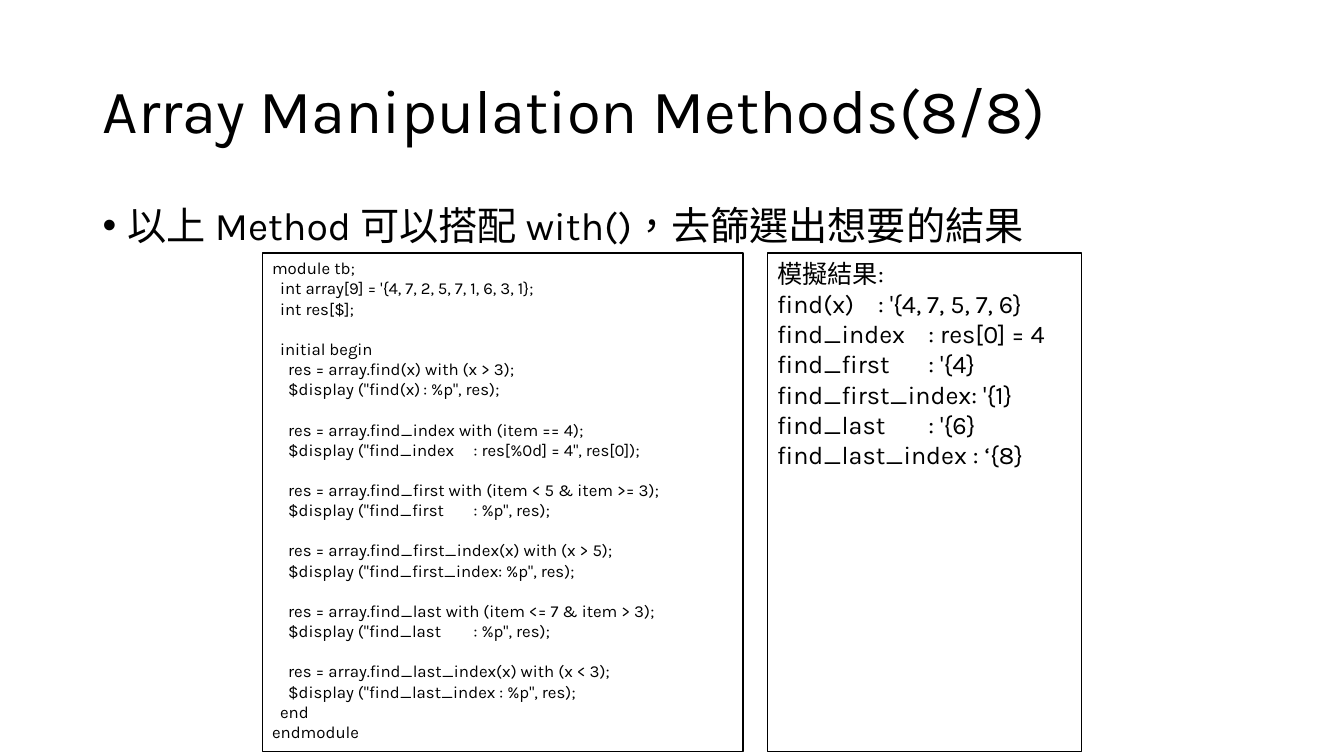
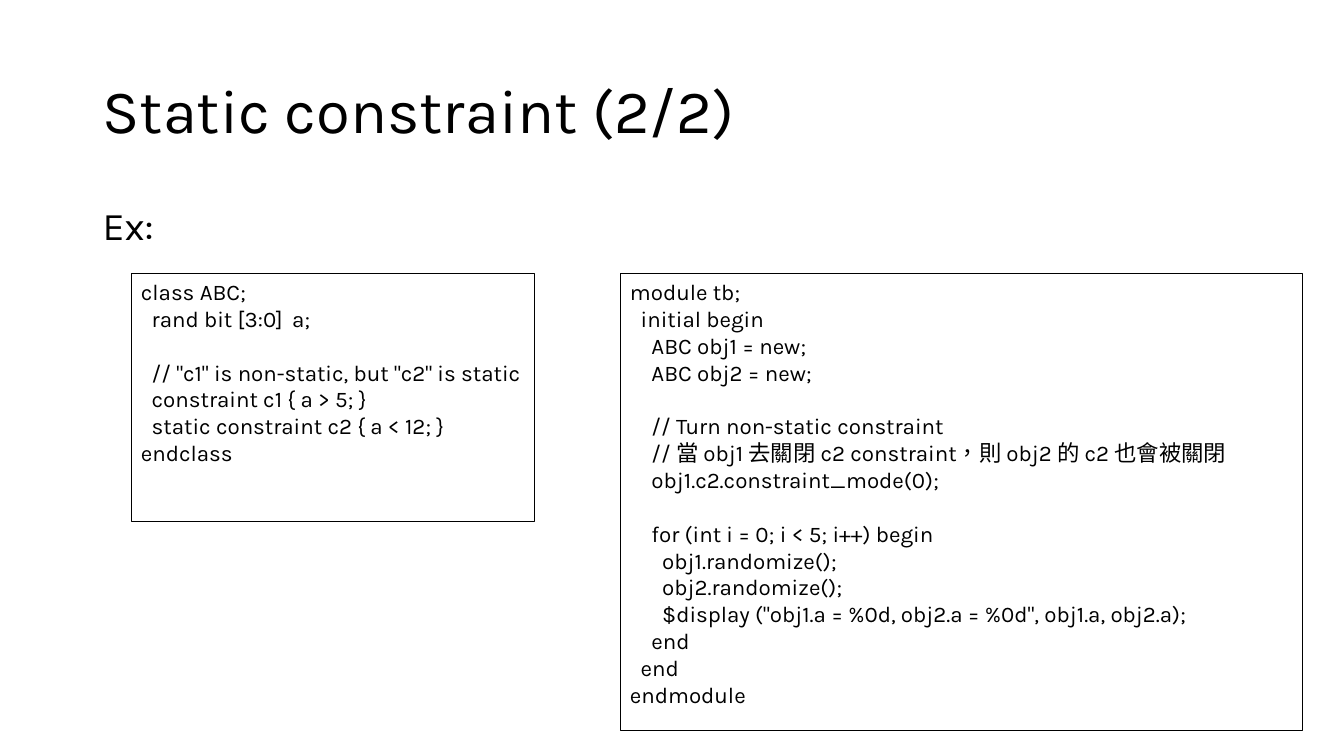
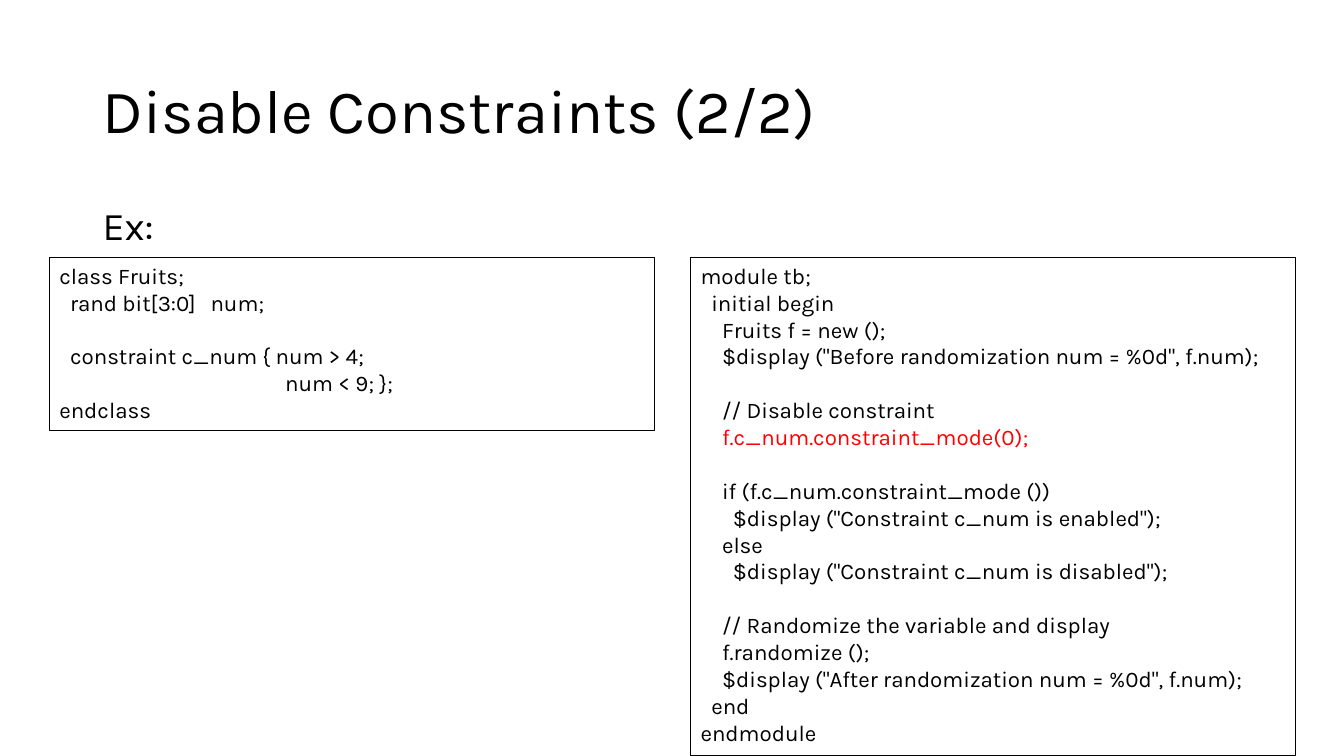
"""Build three SystemVerilog lecture slides with code panels."""
import dataclasses
import typing

import lxml.etree
import pptx
import pptx.dml.color
import pptx.enum.lang
import pptx.enum.shapes
import pptx.enum.text
import pptx.oxml.ns
import pptx.util

EMU_PER_PX = 9144
SLIDE_WIDTH, SLIDE_HEIGHT = 1333, 750
FONT = "Karla"
BLACK = pptx.dml.color.RGBColor(0x00, 0x00, 0x00)
WHITE = pptx.dml.color.RGBColor(0xFF, 0xFF, 0xFF)
RED = pptx.dml.color.RGBColor(0xFF, 0x00, 0x00)
TITLE_SIZE, LEAD_SIZE = 44, 28
HEADING_SPACING = 0.9
CODE_LINE_RATIO = 1.2
SPACE_WIDTH_EM = 0.24
BULLET_INDENT = 25


class Box(typing.NamedTuple):
    left: int
    top: int
    width: int
    height: int


@dataclasses.dataclass(frozen=True)
class Panel:
    box: Box
    size: int
    code: str
    stops: tuple[int, ...] = ()
    highlight: str = ""


@dataclasses.dataclass(frozen=True)
class Lesson:
    title: str
    lead: str
    panels: tuple[Panel, ...]
    bulleted: bool = False


TITLE_BOX = Box(92, 40, 1150, 145)
LEAD_BOX = Box(92, 200, 1150, 476)

FIND_CODE = """
module tb;
  int array[9] = '{4, 7, 2, 5, 7, 1, 6, 3, 1};
  int res[$];

  initial begin
    res = array.find(x) with (x > 3);
    $display ("find(x)\t: %p", res);

    res = array.find_index with (item == 4);
    $display ("find_index\t: res[%0d] = 4", res[0]);

    res = array.find_first with (item < 5 & item >= 3);
    $display ("find_first\t: %p", res);

    res = array.find_first_index(x) with (x > 5);
    $display ("find_first_index: %p", res);

    res = array.find_last with (item <= 7 & item > 3);
    $display ("find_last\t: %p", res);

    res = array.find_last_index(x) with (x < 3);
    $display ("find_last_index : %p", res);
  end
endmodule
"""

FIND_RESULT = """
模擬結果:
find(x)\t: '{4, 7, 5, 7, 6}
find_index\t: res[0] = 4
find_first\t: '{4}
find_first_index: '{1}
find_last\t: '{6}
find_last_index : ‘{8}
"""

STATIC_CLASS = """
class ABC;
  rand bit [3:0]\ta;

  // "c1" is non-static, but "c2" is static
  constraint c1 { a > 5; }
  static constraint c2 { a < 12; }
endclass
"""

STATIC_MODULE = """
module tb;
  initial begin
    ABC obj1 = new;
    ABC obj2 = new;

    // Turn non-static constraint
    // 當 obj1 去關閉 c2 constraint，則 obj2 的 c2 也會被關閉
    obj1.c2.constraint_mode(0);

    for (int i = 0; i < 5; i++) begin
      obj1.randomize();
      obj2.randomize();
      $display ("obj1.a = %0d, obj2.a = %0d", obj1.a, obj2.a);
    end
  end
endmodule
"""

DISABLE_CLASS = """
class Fruits;
  rand bit[3:0]\tnum;

  constraint c_num { num > 4;
                                          num < 9; };
endclass
"""

DISABLE_MODULE = """
module tb;
  initial begin
    Fruits f = new ();
    $display ("Before randomization num = %0d", f.num);

    // Disable constraint
    f.c_num.constraint_mode(0);

    if (f.c_num.constraint_mode ())
      $display ("Constraint c_num is enabled");
    else
      $display ("Constraint c_num is disabled");

    // Randomize the variable and display
    f.randomize ();
    $display ("After randomization num = %0d", f.num);
  end
endmodule
"""

LESSONS = (
    Lesson(
        "Array Manipulation Methods(8/8)",
        "以上 Method 可以搭配 with()，去篩選出想要的結果",
        (
            Panel(Box(260, 251, 477, 495), 12, FIND_CODE, (181, 203, 193, 194)),
            Panel(Box(761, 251, 312, 495), 18, FIND_RESULT, (128, 161, 146, 148)),
        ),
        bulleted=True,
    ),
    Lesson(
        "Static constraint (2/2)",
        "Ex:",
        (
            Panel(Box(130, 271, 400, 246), 16, STATIC_CLASS, (151,)),
            Panel(Box(615, 271, 677, 454), 16, STATIC_MODULE),
        ),
    ),
    Lesson(
        "Disable Constraints (2/2)",
        "Ex:",
        (
            Panel(Box(49, 255, 600, 172), 16, DISABLE_CLASS, (146,)),
            Panel(Box(685, 255, 600, 495), 16, DISABLE_MODULE,
                  highlight="f.c_num.constraint_mode(0);"),
        ),
    ),
)


def px(length: float) -> int:
    """Turn px into EMU."""
    return round(length * EMU_PER_PX)


def add_line(frame, text: str, *, size: int, colour=BLACK, indent: float = 0,
             margin: int = 0, before: float = 0, spacing: float = 1.0,
             bullet: str = "", stop: int | None = None) -> None:
    """Write one formatted paragraph into a text frame."""
    first = frame.paragraphs[0]
    paragraph = frame.add_paragraph() if first.runs else first
    paragraph.alignment = pptx.enum.text.PP_ALIGN.LEFT
    paragraph.line_spacing = spacing
    paragraph.space_before = pptx.util.Pt(before)
    run = paragraph.add_run()
    run.text = text
    run.font.name = FONT
    run.font.size = pptx.util.Pt(size)
    run.font.color.rgb = colour
    run.font.language_id = pptx.enum.lang.MSO_LANGUAGE_ID.TRADITIONAL_CHINESE
    properties = paragraph._p.get_or_add_pPr()
    properties.set("marL", str(px(margin)))
    properties.set("indent", str(px(indent)))
    qn = pptx.oxml.ns.qn
    if bullet:
        font = lxml.etree.SubElement(properties, qn("a:buFont"))
        font.set("typeface", "Arial")
        lxml.etree.SubElement(properties, qn("a:buChar")).set("char", bullet)
    if stop is not None:
        tabs = lxml.etree.SubElement(properties, qn("a:tabLst"))
        tab = lxml.etree.SubElement(tabs, qn("a:tab"))
        tab.set("pos", str(px(stop)))
        tab.set("algn", "l")


def add_frame(slide, box: Box, anchor=pptx.enum.text.MSO_ANCHOR.TOP):
    """Place a wrapping text box and return its frame."""
    frame = slide.shapes.add_textbox(*map(px, box)).text_frame
    frame.word_wrap = True
    frame.vertical_anchor = anchor
    return frame


def add_panel(slide, panel: Panel) -> None:
    """Draw an outlined panel, turning code layout into paragraph format."""
    outline = slide.shapes.add_shape(
        pptx.enum.shapes.MSO_SHAPE.RECTANGLE, *map(px, panel.box))
    outline.shadow.inherit = False
    outline.fill.background()
    outline.line.color.rgb = BLACK
    outline.line.width = pptx.util.Pt(0.75)
    frame = outline.text_frame
    frame.word_wrap = True
    frame.vertical_anchor = pptx.enum.text.MSO_ANCHOR.TOP
    space_width = panel.size * SPACE_WIDTH_EM * 100 / 72
    stops = iter(panel.stops)
    before = 0.0
    for line in panel.code.strip().split("\n"):
        statement = line.lstrip()
        if not statement:
            before = panel.size * CODE_LINE_RATIO
            continue
        add_line(
            frame, statement, size=panel.size,
            colour=RED if statement == panel.highlight else BLACK,
            indent=(len(line) - len(statement)) * space_width,
            before=before,
            stop=next(stops) if "\t" in statement else None)
        before = 0.0


def add_lesson(deck, lesson: Lesson) -> None:
    """Add a slide with its title, lead line and panels."""
    slide = deck.slides.add_slide(deck.slide_layouts[6])
    slide.background.fill.solid()
    slide.background.fill.fore_color.rgb = WHITE
    add_line(add_frame(slide, TITLE_BOX, pptx.enum.text.MSO_ANCHOR.MIDDLE),
             lesson.title, size=TITLE_SIZE, spacing=HEADING_SPACING)
    hang = BULLET_INDENT if lesson.bulleted else 0
    add_line(add_frame(slide, LEAD_BOX), lesson.lead, size=LEAD_SIZE,
             spacing=HEADING_SPACING, before=10, margin=hang, indent=-hang,
             bullet="•" if lesson.bulleted else "")
    for panel in lesson.panels:
        add_panel(slide, panel)


def main() -> None:
    """Build and save the deck."""
    deck = pptx.Presentation()
    deck.slide_width = px(SLIDE_WIDTH)
    deck.slide_height = px(SLIDE_HEIGHT)
    for lesson in LESSONS:
        add_lesson(deck, lesson)
    deck.save("out.pptx")


if __name__ == "__main__":
    main()
